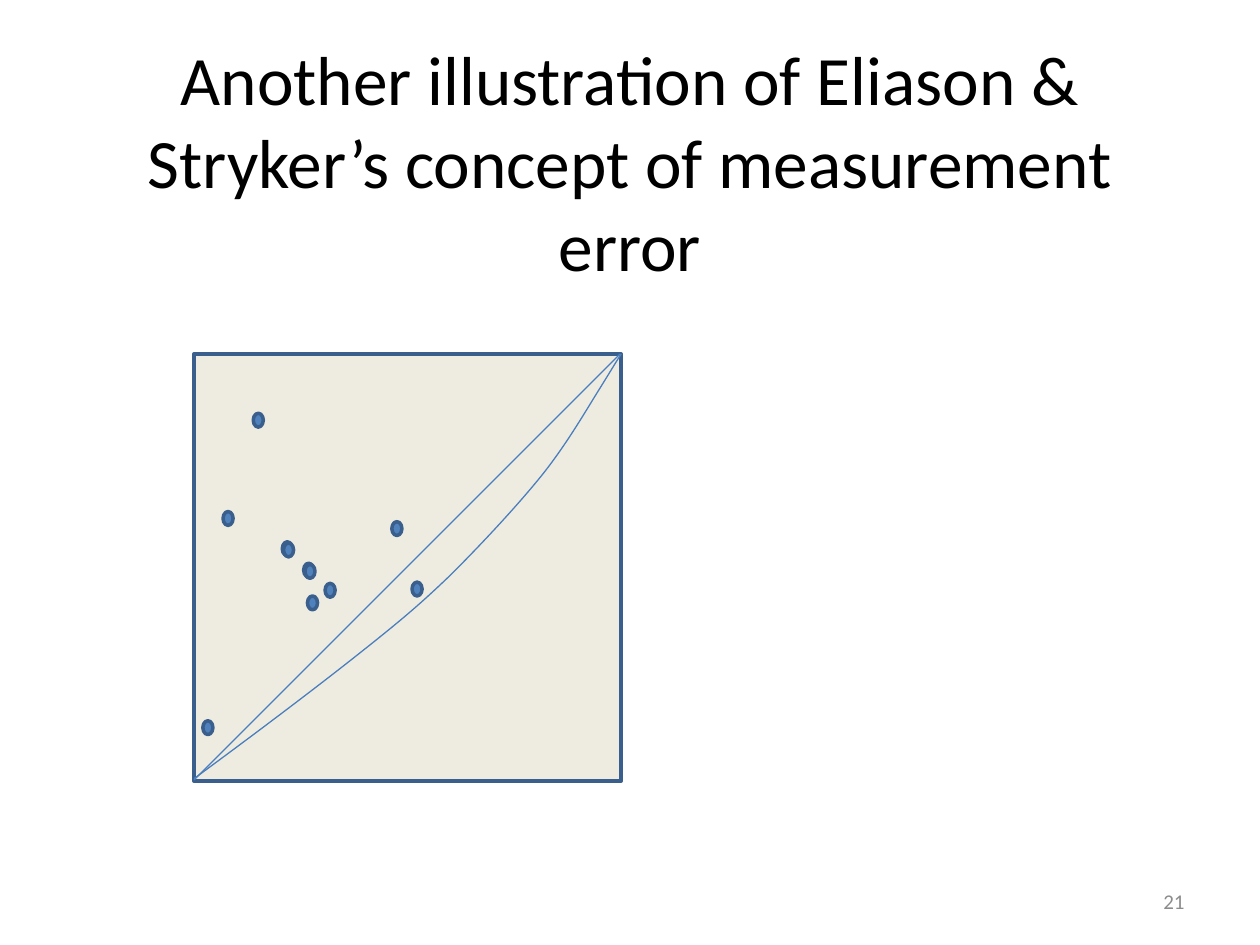
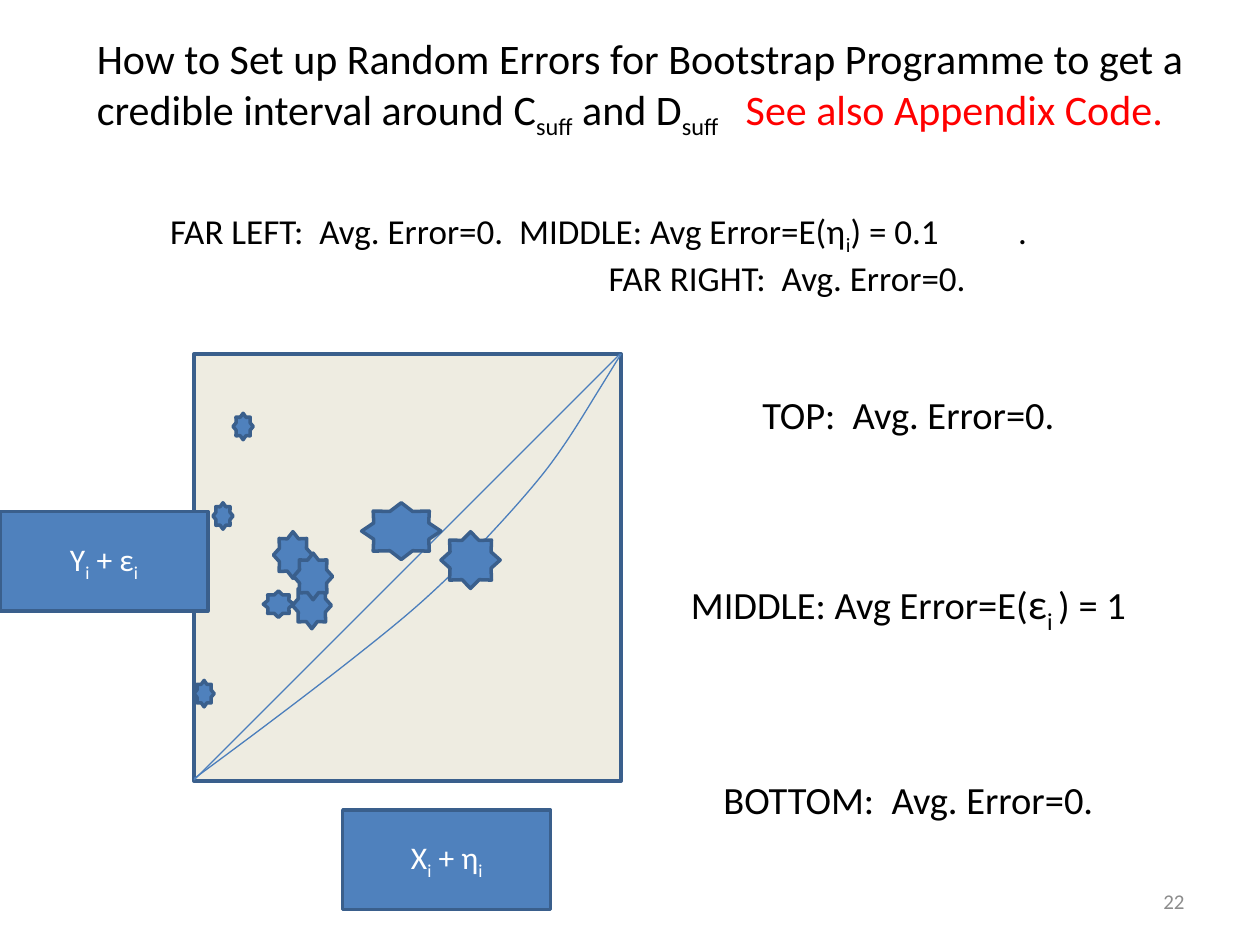
from collections import namedtuple
from lxml import etree
from pptx import Presentation
from pptx.dml.color import RGBColor
from pptx.enum.shapes import MSO_CONNECTOR, MSO_SHAPE
from pptx.enum.text import MSO_ANCHOR, MSO_AUTO_SIZE, PP_ALIGN
from pptx.oxml.ns import qn
from pptx.util import Emu, Inches, Pt

RECT = MSO_SHAPE.RECTANGLE
DOT = MSO_SHAPE.FLOWCHART_CONNECTOR
STAR = MSO_SHAPE.STAR_8_POINT
STRAIGHT = MSO_CONNECTOR.STRAIGHT
TOP, MIDDLE = MSO_ANCHOR.TOP, MSO_ANCHOR.MIDDLE
LEFT, CENTER, RIGHT = PP_ALIGN.LEFT, PP_ALIGN.CENTER, PP_ALIGN.RIGHT
NO_FIT = MSO_AUTO_SIZE.NONE

BLACK = RGBColor(0, 0, 0)
WHITE = RGBColor(255, 255, 255)
RED = RGBColor(255, 0, 0)
GRAY = RGBColor(0x8C, 0x8C, 0x8C)
BEIGE = RGBColor(0xEE, 0xEC, 0xE1)
BLUE = RGBColor(0x4F, 0x81, 0xBD)
EDGE = RGBColor(0x3A, 0x5F, 0x8C)
THIN = RGBColor(0x4B, 0x7E, 0xBC)

FONT = "Calibri"
COLS, ROWS = 100, 75
TITLE_ONLY = 5

Bit = namedtuple("Bit", "text sub size color", defaults=(False, None, None))
SUB_I = Bit("i", True)

CURVE = [
    (15.4, 61.8), (20.3, 58.2), (25.2, 54.5), (28.6, 51.8), (32, 49.1),
    (33.4, 47.9), (35.8, 45.6), (38.2, 43.2), (41.1, 40.1), (43.1, 37.6),
    (45, 35.2), (46.5, 32.6), (47.5, 31), (48.5, 29.4), (48.9, 28.7),
    (49.3, 28.1),
]
DOTS = [
    (17.7, 40.6), (20.1, 32.8), (22.4, 43), (16.1, 57.2), (24.4, 47.3),
    (22.5, 43.1), (24.1, 44.7), (24.2, 44.8), (25.8, 46.3), (31.1, 41.4),
    (32.7, 46.2),
]
STARS = [
    (28.7, 39.9, 6.3, 4.5), (35, 42.2, 4.7, 4.5), (23.2, 46.2, 3.1, 3.7),
    (20.9, 46.9, 2.4, 2.1), (18.5, 32.8, 1.6, 2.1), (21.7, 42.2, 3.1, 3.7),
    (15.4, 54, 1.6, 2.1), (23.3, 43.9, 3.1, 3.7), (16.9, 39.9, 1.6, 2.1),
]


class Deck:
    def __init__(self):
        self.prs = Presentation()
        self.prs.slide_width, self.prs.slide_height = Inches(10), Inches(7.5)
        self.slide = None

    def x(self, cols):
        return Emu(round(self.prs.slide_width * cols / COLS))

    def y(self, rows):
        return Emu(round(self.prs.slide_height * rows / ROWS))

    def place(self, box):
        left, top, wide, high = box
        return self.x(left), self.y(top), self.x(wide), self.y(high)

    def start(self, number):
        layout = self.prs.slide_layouts[TITLE_ONLY]
        self.slide = self.prs.slides.add_slide(layout)
        self.text((71.7, 69.5, 23.3, 4), [[Bit(number)]], 12, GRAY, RIGHT)

    def typeset(self, frame, lines, size, color=BLACK, align=CENTER,
                anchor=MIDDLE, tab=None, gap=0):
        frame.word_wrap = True
        frame.auto_size = NO_FIT
        frame.vertical_anchor = anchor
        for count, line in enumerate(lines):
            para = frame.add_paragraph() if count else frame.paragraphs[0]
            para.alignment = align
            if tab:
                tabs = etree.SubElement(para._p.get_or_add_pPr(), qn("a:tabLst"))
                etree.SubElement(tabs, qn("a:tab"), pos=str(self.x(tab)), algn="l")
            para.space_before = Pt(gap if count else 0)
            para.font.name = FONT
            para.font.size = Pt(size)
            para.font.color.rgb = color
            for bit in line:
                run = para.add_run()
                run.text = bit.text
                if bit.size:
                    run.font.size = Pt(bit.size)
                if bit.color:
                    run.font.color.rgb = bit.color
                if bit.sub:
                    run._r.get_or_add_rPr().set("baseline", "-25000")
        return frame

    def title(self, box, lines, size, **style):
        shape = self.slide.shapes.title
        shape.left, shape.top, shape.width, shape.height = self.place(box)
        return self.typeset(shape.text_frame, lines, size, **style)

    def text(self, box, lines, size, color=BLACK, align=CENTER, **style):
        shape = self.slide.shapes.add_textbox(*self.place(box))
        return self.typeset(shape.text_frame, lines, size, color, align, **style)

    def shape(self, kind, box, fill=BLUE):
        shape = self.slide.shapes.add_shape(kind, *self.place(box))
        shape.shadow.inherit = False
        shape.fill.solid()
        shape.fill.fore_color.rgb = fill
        shape.line.color.rgb = EDGE
        shape.line.width = Pt(2)
        return shape

    def label(self, box, line):
        self.typeset(self.shape(RECT, box).text_frame, [line], 18, WHITE)

    def line(self, start, end):
        (x1, y1), (x2, y2) = start, end
        line = self.slide.shapes.add_connector(
            STRAIGHT, self.x(x1), self.y(y1), self.x(x2), self.y(y2))
        self.stroke(line)
        etree.SubElement(line._element.spPr, qn("a:effectLst"))

    def stroke(self, shape):
        shape.line.color.rgb = THIN
        shape.line.width = Pt(0.75)

    def curve(self, points):
        spots = [(self.x(px), self.y(py)) for px, py in points]
        form = self.slide.shapes.build_freeform(*spots[0])
        form.add_line_segments(spots[1:], close=False)
        shape = form.convert_to_shape()
        shape.shadow.inherit = False
        shape.fill.background()
        self.stroke(shape)
        track = next(shape._element.iter(qn("a:path")))
        steps = track.findall(qn("a:lnTo"))
        for at in range(0, len(steps), 3):
            bend = etree.SubElement(track, qn("a:cubicBezTo"))
            for step in steps[at:at + 3]:
                bend.append(step[0])
                track.remove(step)

    def plot(self):
        self.shape(RECT, (15.4, 28.1, 33.9, 33.9), BEIGE)
        self.line((15.4, 61.9), (49.2, 28.1))
        self.curve(CURVE)


def concept(deck):
    deck.start("21")
    deck.title((5, 3, 90, 19.5), [[Bit(
        "Another illustration of Eliason & Stryker’s concept of measurement error"
    )]], 39.6)
    deck.plot()
    for left, top in DOTS:
        deck.shape(DOT, (left, top, 0.8, 1.1))


def errors(deck):
    deck.start("22")
    frame = deck.title((0, 13.9, 95, 12.5), [
        [Bit("FAR LEFT:  Avg. Error=0.  MIDDLE: Avg Error=E(η"), SUB_I,
         Bit(") = 0.1\t.")],
        [Bit("FAR RIGHT:  Avg. Error=0.")],
    ], 20, align=LEFT, tab=67.3)
    frame.margin_left = deck.x(13.5)
    indent = frame.paragraphs[1]._p.get_or_add_pPr()
    indent.set("marL", str(deck.x(34.8)))
    indent.set("indent", "0")

    deck.plot()
    deck.label((27.2, 64.3, 16.5, 7.9), [Bit("X"), SUB_I, Bit(" + η"), SUB_I])
    deck.label((0, 40.6, 16.5, 7.9), [Bit("Y"), SUB_I, Bit(" + ε"), SUB_I])
    for box in STARS:
        deck.shape(STAR, box)

    frame = deck.text((53.1, 26.5, 39.4, 43.3), [
        [Bit("TOP:  Avg. Error=0.")],
        [Bit("MIDDLE: Avg Error=E("), Bit("ε", size=24),
         Bit("i ", True, 24), Bit(") = 1")],
        [Bit("BOTTOM:  Avg. Error=0.")],
    ], 22, gap=80.5)
    frame.paragraphs[0]._p.get_or_add_pPr().set("marR", str(deck.x(1.4)))

    deck.text((6.7, 2.1, 88.2, 9.1), [[
        Bit("How to Set up Random Errors for Bootstrap Programme to get a "
            "credible interval around C"),
        Bit("suff", True), Bit(" and D"), Bit("suff", True),
        Bit("\tSee also Appendix Code.", color=RED),
    ]], 24, align=LEFT, anchor=TOP, tab=51.5)


def main():
    deck = Deck()
    concept(deck)
    errors(deck)
    deck.prs.save("out.pptx")


if __name__ == "__main__":
    main()
